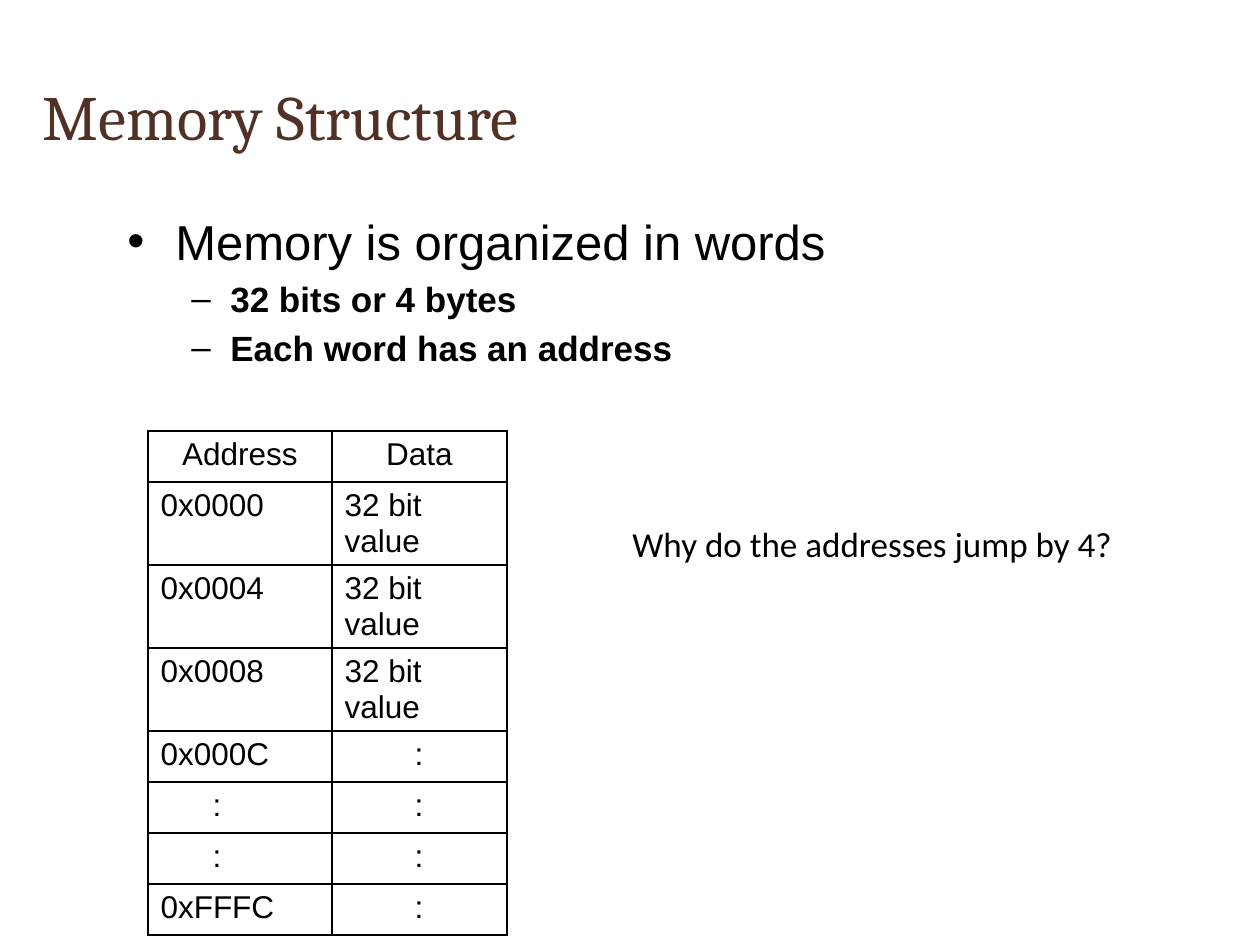
"""Builds a slide on how memory is organized in addressed words."""
from lxml import etree
from pptx import Presentation
from pptx.dml.color import RGBColor
from pptx.enum.text import MSO_ANCHOR, PP_ALIGN
from pptx.oxml.ns import qn
from pptx.util import Emu, Pt

MIDDLE, TOP = MSO_ANCHOR.MIDDLE, MSO_ANCHOR.TOP
CENTER, LEFT = PP_ALIGN.CENTER, PP_ALIGN.LEFT
PX = 914400 / 126
COLORS = {"title": "513026", "ink": "000000"}
WORD = "32 bit value"
ROWS = [
    ("Address", "Data"),
    ("0x0000", WORD),
    ("0x0004", WORD),
    ("0x0008", WORD),
    ("0x000C", ":"),
    (":", ":"),
    (":", ":"),
    ("0xFFFC", ":"),
]


def px(length):
    return Emu(round(length * PX))


class SlideWriter:
    def __init__(self, slide):
        self.slide = slide

    def style(self, para, size, font="Arial", color="ink", bold=False):
        for span in para.runs:
            span.font.size = Pt(size)
            span.font.name = font
            span.font.bold = bold
            span.font.color.rgb = RGBColor.from_string(COLORS[color])

    def indent(self, para, margin, first=0):
        properties = para._p.get_or_add_pPr()
        properties.set("marL", str(px(margin)))
        properties.set("indent", str(px(first)))
        return properties

    def frame(self, left, top, width, height, anchor=TOP):
        box = self.slide.shapes.add_textbox(px(left), px(top), px(width), px(height))
        box.text_frame.word_wrap = True
        box.text_frame.vertical_anchor = anchor
        return box.text_frame

    def text(self, words, place, size, font, color="ink", anchor=TOP):
        frame = self.frame(*place, anchor)
        frame.text = words
        self.style(frame.paragraphs[0], size, font, color)

    def bullets(self, items, place):
        frame = self.frame(*place)
        frame.text = "\n".join(words for words, _ in items)
        for number, (para, (_, level)) in enumerate(zip(frame.paragraphs, items)):
            margin, hang, mark, size = [(48, 48, "•", 28), (103, 39, "–", 20)][level]
            para.level = level
            if number:
                para.space_before = Pt(4)
            properties = self.indent(para, margin, -hang)
            etree.SubElement(properties, qn("a:buFont"), typeface="Arial")
            etree.SubElement(properties, qn("a:buChar"), char=mark)
            self.style(para, size, bold=level == 1)

    def borders(self, cell):
        properties = cell._tc.get_or_add_tcPr()
        for index, side in enumerate(("lnL", "lnR", "lnT", "lnB")):
            line = etree.Element(qn(f"a:{side}"), w=str(Pt(1)))
            fill = etree.SubElement(line, qn("a:solidFill"))
            etree.SubElement(fill, qn("a:srgbClr"), val=COLORS["ink"])
            properties.insert(index, line)

    def table(self, rows, left, top, widths, heights, colon_indents):
        shape = self.slide.shapes.add_table(
            len(rows), len(widths), px(left), px(top),
            px(sum(widths)), px(sum(heights)))
        table = shape.table
        table.first_row = table.horz_banding = False
        for column, width in zip(table.columns, widths):
            column.width = px(width)
        for row_number, row in enumerate(rows):
            table.rows[row_number].height = px(heights[row_number])
            for column_number, words in enumerate(row):
                cell = table.cell(row_number, column_number)
                cell.text = words
                cell.margin_bottom = 0
                cell.fill.background()
                self.borders(cell)
                para = cell.text_frame.paragraphs[0]
                para.alignment = LEFT if row_number else CENTER
                if words == ":":
                    self.indent(para, colon_indents[column_number])
                self.style(para, 18)


def main():
    deck = Presentation()
    deck.slide_width, deck.slide_height = px(1260), px(945)
    page = SlideWriter(deck.slides.add_slide(deck.slide_layouts[6]))
    page.text("Memory Structure", (30, 36, 1033, 158), 36, "Cambria", "title", MIDDLE)
    page.bullets([
        ("Memory is organized in words", 0),
        ("32 bits or 4 bytes", 1),
        ("Each word has an address", 1),
    ], (115, 205, 1033, 180))
    heights = [83 if WORD in row else 51 for row in ROWS]
    page.table(ROWS, 148, 431, (184, 175), heights, (52, 70))
    page.text("Why do the addresses jump by 4?", (620, 516, 529, 56), 20, "Calibri")
    deck.save("out.pptx")


if __name__ == "__main__":
    main()
